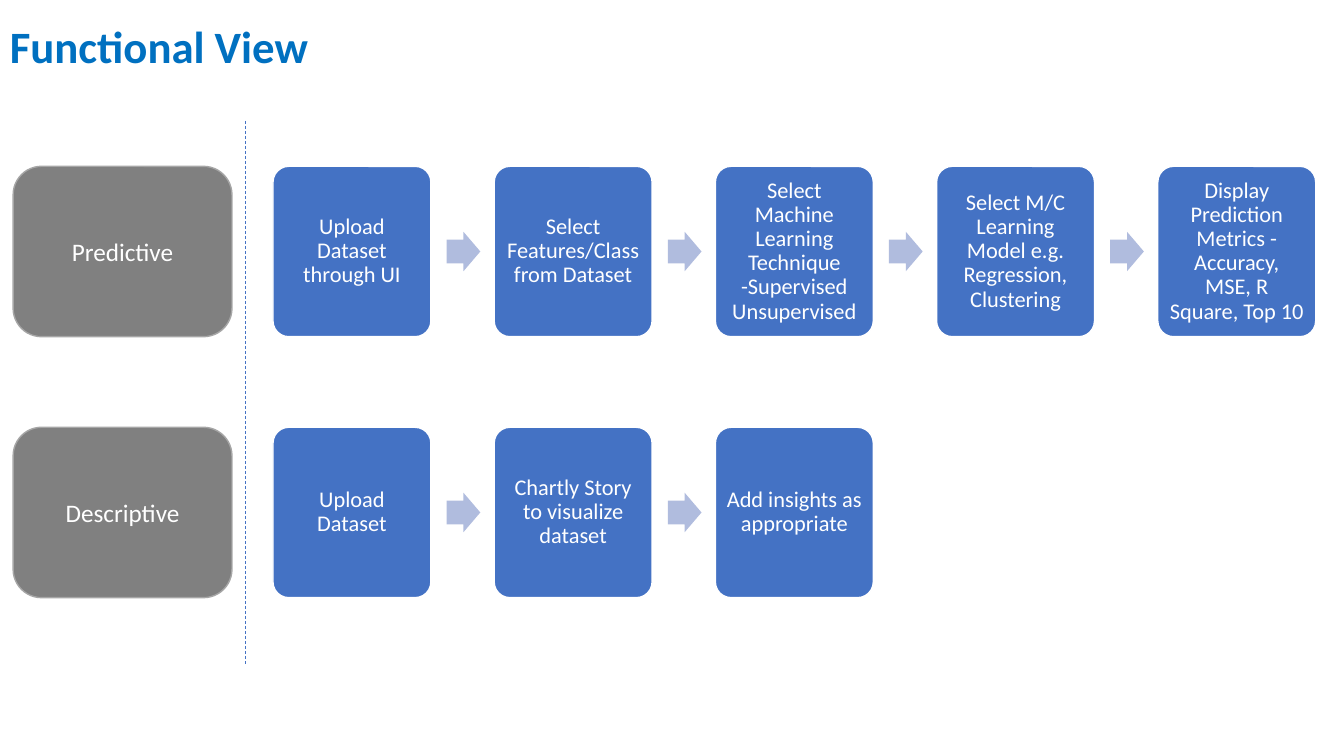
import pptx
import pptx.util
import pptx.dml.color
import pptx.enum.dml
import pptx.enum.shapes
import pptx.enum.text
from lxml import etree

TITLE = "Functional View"
TRACKS = [
    ("Predictive", [
        "Upload Dataset through UI",
        "Select Features/Class from Dataset",
        "Select Machine Learning Technique -Supervised Unsupervised",
        "Select M/C Learning Model e.g. Regression, Clustering",
        "Display Prediction Metrics - Accuracy, MSE, R Square, Top 10",
    ]),
    ("Descriptive", [
        "Upload Dataset",
        "Chartly Story to visualize dataset",
        "Add insights as appropriate",
    ]),
]
COLORS = {
    "title": "0070C0",
    "step": "4472C4",
    "arrow": "B0BCDE",
    "track": "808080",
    "track_line": "A6A6A6",
    "white": "FFFFFF",
}
FONT = "Calibri"
FIRST_TOP, ROW_PITCH, ROW_HEIGHT = 118.8, 186.4, 121.7
TRACK_LEFT, TRACK_WIDTH = 9.4, 156.3
STEP_LEFT, STEP_PITCH, STEP_WIDTH = 195, 158, 112.8
ARROW_OFFSET, ARROW_WIDTH, ARROW_HEIGHT = 124, 24.1, 28.2
DIVIDER_X, DIVIDER_TOP, DIVIDER_BOTTOM = 175, 86.4, 475.2

Pt = pptx.util.Pt
SHAPES = pptx.enum.shapes.MSO_SHAPE
ALIGN = pptx.enum.text.PP_ALIGN
ANCHOR = pptx.enum.text.MSO_ANCHOR


def rgb(name):
    return pptx.dml.color.RGBColor.from_string(COLORS[name])


def write_text(shape, text, size, color="white", bold=False, align=ALIGN.CENTER,
               anchor=ANCHOR.MIDDLE, spacing=None, margin=None):
    frame = shape.text_frame
    frame.word_wrap = True
    frame.vertical_anchor = anchor
    if margin is not None:
        frame.margin_left = frame.margin_right = Pt(margin)
        frame.margin_top = frame.margin_bottom = Pt(margin)
    paragraph = frame.paragraphs[0]
    paragraph.alignment = align
    paragraph.line_spacing = spacing
    run = paragraph.add_run()
    run.text = text
    run.font.name = FONT
    run.font.size = Pt(size)
    run.font.bold = bold
    run.font.color.rgb = rgb(color)


def add_block(slide, kind, left, top, width, height, fill, line=None, adjustments=()):
    shape = slide.shapes.add_shape(kind, Pt(left), Pt(top), Pt(width), Pt(height))
    shape.shadow.inherit = False
    shape.fill.solid()
    shape.fill.fore_color.rgb = rgb(fill)
    if line:
        shape.line.color.rgb = rgb(line)
        shape.line.width = Pt(1)
    else:
        shape.line.fill.background()
    for index, value in enumerate(adjustments):
        shape.adjustments[index] = value
    return shape


def add_track(slide, top, name, steps):
    label = add_block(slide, SHAPES.ROUNDED_RECTANGLE, TRACK_LEFT, top, TRACK_WIDTH,
                      ROW_HEIGHT, "track", "track_line")
    write_text(label, name, size=18)
    for index, text in enumerate(steps):
        left = STEP_LEFT + index * STEP_PITCH
        step = add_block(slide, SHAPES.ROUNDED_RECTANGLE, left, top, STEP_WIDTH,
                         ROW_HEIGHT, "step", "white", [0.1])
        write_text(step, text, size=16, spacing=0.9, margin=4.6)
        if index < len(steps) - 1:
            add_block(slide, SHAPES.RIGHT_ARROW, left + ARROW_OFFSET,
                      top + (ROW_HEIGHT - ARROW_HEIGHT) / 2, ARROW_WIDTH, ARROW_HEIGHT,
                      "arrow", adjustments=[0.6, 0.5])


def add_divider(slide):
    divider = slide.shapes.add_connector(
        pptx.enum.shapes.MSO_CONNECTOR.STRAIGHT,
        Pt(DIVIDER_X), Pt(DIVIDER_TOP), Pt(DIVIDER_X), Pt(DIVIDER_BOTTOM))
    divider.line.color.rgb = rgb("step")
    divider.line.width = Pt(0.5)
    divider.line.dash_style = pptx.enum.dml.MSO_LINE.DASH
    etree.SubElement(divider.element.spPr, pptx.oxml.ns.qn("a:effectLst"))


def main():
    """Build the functional view slide with its two process tracks."""
    presentation = pptx.Presentation()
    presentation.slide_width = Pt(960)
    presentation.slide_height = Pt(540)
    slide = presentation.slides.add_slide(presentation.slide_layouts[6])
    for row, (name, steps) in enumerate(TRACKS):
        add_track(slide, FIRST_TOP + row * ROW_PITCH, name, steps)
    add_divider(slide)
    title = slide.shapes.add_textbox(Pt(0), Pt(10.1), Pt(326.9), Pt(46))
    write_text(title, TITLE, size=32, color="title", bold=True, align=ALIGN.LEFT,
               anchor=ANCHOR.TOP)
    presentation.save("out.pptx")


if __name__ == "__main__":
    main()
